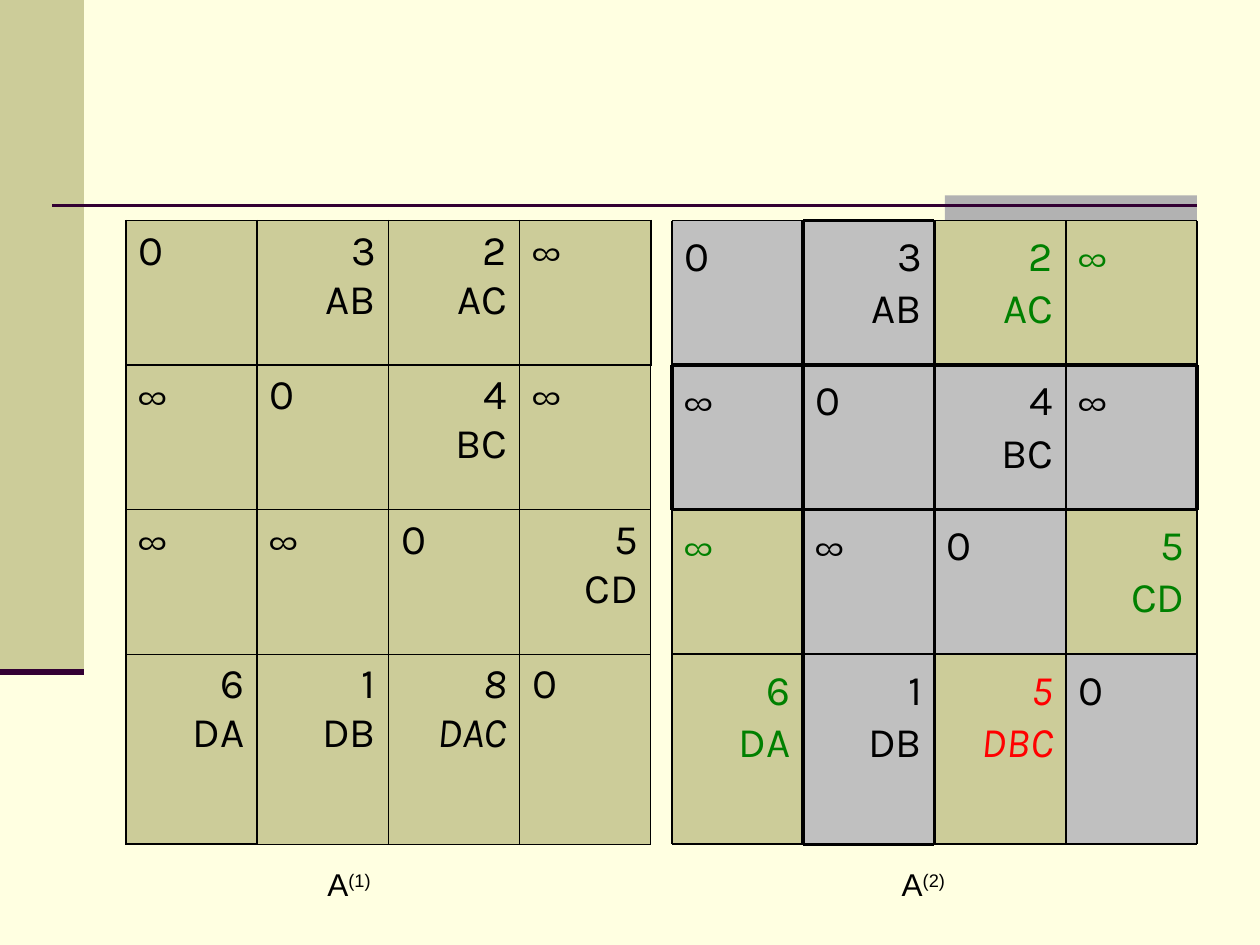
from dataclasses import dataclass
from typing import NamedTuple

from lxml import etree
from pptx import Presentation
from pptx.dml.color import RGBColor
from pptx.enum.shapes import MSO_CONNECTOR, MSO_SHAPE
from pptx.enum.text import MSO_ANCHOR, MSO_AUTO_SIZE, PP_ALIGN
from pptx.oxml.ns import qn
from pptx.util import Emu, Inches, Pt

RECT = MSO_SHAPE.RECTANGLE
LINE = MSO_CONNECTOR.STRAIGHT
TOP = MSO_ANCHOR.TOP
LEFT, RIGHT = PP_ALIGN.LEFT, PP_ALIGN.RIGHT
GROW = MSO_AUTO_SIZE.SHAPE_TO_FIT_TEXT

WIDTH, HEIGHT = Inches(10), Inches(7.5)
UNIT = WIDTH / 120  # the slide is a grid of 120 columns by 90 rows


@dataclass(frozen=True)
class Theme:
    page: str = "FFFFE1"
    sand: str = "CCCC99"
    gray: str = "C0C0C0"
    tab: str = "B2B2B2"
    plum: str = "330033"
    ink: str = "000000"
    kept: str = "008000"
    new: str = "FF0000"
    cell_font: str = "Karla"
    note_font: str = "Arial"
    cell_size: int = 24
    note_size: int = 18
    thin: float = 0.45
    edge: float = 0.96
    line: float = 1
    bold: float = 2


THEME = Theme()


class Box(NamedTuple):
    left: float
    top: float
    width: float
    height: float


class Rule(NamedTuple):
    x1: float
    y1: float
    x2: float
    y2: float
    weight: float
    color: str = THEME.ink


class Cell(NamedTuple):
    cost: str
    route: str = ""
    italic: bool = False


@dataclass(frozen=True)
class Grid:
    left: float
    top: float = 21
    col: float = 12.5
    row: float = 13.77
    last: float = 18.1

    def x(self, col: int) -> float:
        return self.left + col * self.col

    def y(self, row: int) -> float:
        return self.top + row * self.row + (self.last - self.row) * (row == 4)

    def box(self, row: int, col: int, rows: int = 1, cols: int = 1) -> Box:
        x, y = self.x(col), self.y(row)
        return Box(x, y, self.x(col + cols) - x, self.y(row + rows) - y)


FIRST, SECOND = Grid(12), Grid(64)
INF, ZERO = Cell("∞"), Cell("0")
COSTS = [
    [ZERO, Cell("3", "AB"), Cell("2", "AC"), INF],
    [INF, ZERO, Cell("4", "BC"), INF],
    [INF, INF, ZERO, Cell("5", "CD")],
    [Cell("6", "DA"), Cell("1", "DB"), Cell("8", "DAC", True), ZERO],
]
BETTER = {(3, 2): Cell("5", "DBC", True)}

# Column and row of each end on the second grid
LIGHT = [(0, 0, 1, 0), (0, 4, 1, 4), (0, 0, 0, 1), (4, 0, 4, 1), (2, 0, 4, 0),
         (3, 0, 3, 4), (0, 2, 0, 4), (4, 2, 4, 4), (0, 3, 4, 3), (2, 4, 4, 4)]
HEAVY = [(1, 0, 2, 0), (0, 1, 4, 1), (0, 1, 0, 2), (1, 0, 1, 4),
         (2, 0, 2, 4), (4, 1, 4, 2), (0, 2, 4, 2), (1, 4, 2, 4)]


def span(units: float) -> Emu:
    return Emu(round(units * UNIT))


def style(font, **values) -> None:
    for name, value in values.items():
        setattr(font, name, value)


def paint(fill, color: str) -> None:
    fill.solid()
    fill.fore_color.rgb = RGBColor.from_string(color)


def add_box(slide, box: Box, color: str):
    shape = slide.shapes.add_shape(RECT, *map(span, box))
    shape.shadow.inherit = False
    paint(shape.fill, color)
    shape.line.fill.background()
    return shape


def add_rule(slide, rule: Rule) -> None:
    line = slide.shapes.add_connector(LINE, *map(span, rule[:4]))
    line.line.width = Pt(rule.weight)
    line.line.color.rgb = RGBColor.from_string(rule.color)
    etree.SubElement(line._element.spPr, qn("a:effectLst"))


def write(frame, cell: Cell, color: str, gap: float = 0) -> None:
    """Put the cost and, right-aligned below it, the route."""
    for i, text in enumerate(filter(None, (cell.cost, cell.route))):
        para = frame.add_paragraph() if i else frame.paragraphs[0]
        para.alignment = RIGHT if cell.route else LEFT
        para.space_before = Pt(gap)
        props = para._p.get_or_add_pPr()
        for name, inch in {"marL": 0.38, "indent": -0.38}.items():
            props.set(name, str(Inches(inch)))
        run = para.add_run()
        run.text = text
        style(run.font, name=THEME.cell_font, size=Pt(THEME.cell_size),
              italic=cell.italic)
        run.font.color.rgb = RGBColor.from_string(color)


def add_edges(cell, row: int, col: int) -> None:
    """Draw heavier borders around the first row and the first column."""
    heavy = {"L": col < 2, "R": col == 0 or (row == 0 and col == 3),
             "T": row < 2, "B": row == 0 or (row == 3 and col == 0)}
    props = cell._tc.get_or_add_tcPr()
    for i, (side, strong) in enumerate(heavy.items()):
        weight = THEME.edge if strong else THEME.thin
        edge = etree.Element(qn(f"a:ln{side}"), w=str(Pt(weight)))
        fill = etree.SubElement(edge, qn("a:solidFill"))
        etree.SubElement(fill, qn("a:srgbClr"), val=THEME.ink)
        props.insert(i, edge)


def add_first(slide, grid: Grid) -> None:
    place = map(span, grid.box(0, 0, 4, 4))
    table = slide.shapes.add_table(4, 4, *place).table
    table.first_row = table.horz_banding = False
    for i in range(4):
        table.columns[i].width = span(grid.col)
        table.rows[i].height = span(grid.box(i, 0).height)
    for r, row in enumerate(COSTS):
        for c, entry in enumerate(row):
            cell = table.cell(r, c)
            paint(cell.fill, THEME.sand)
            write(cell.text_frame, entry, THEME.ink)
            add_edges(cell, r, c)


def add_second(slide, grid: Grid) -> None:
    """Shade the row and column of the second node and the diagonal."""
    for r, row in enumerate(COSTS):
        for c, entry in enumerate(row):
            fixed = r == 1 or c == 1 or r == c
            color = THEME.ink if fixed else THEME.kept
            if (r, c) in BETTER:
                entry, color = BETTER[r, c], THEME.new
            shape = add_box(slide, grid.box(r, c),
                            THEME.gray if fixed else THEME.sand)
            style(shape.text_frame, word_wrap=True, vertical_anchor=TOP,
                  margin_top=Inches(0.07))
            write(shape.text_frame, entry, color, gap=1)
    for ends, weight in ((LIGHT, THEME.line), (HEAVY, THEME.bold)):
        for x1, y1, x2, y2 in ends:
            add_rule(slide, Rule(grid.x(x1), grid.y(y1),
                                 grid.x(x2), grid.y(y2), weight))


def add_note(slide, left: float, power: str) -> None:
    frame = add_box(slide, Box(left, 81.84, 6.5, 4.8), THEME.page).text_frame
    style(frame, word_wrap=False, auto_size=GROW, vertical_anchor=TOP)
    para = frame.paragraphs[0]
    para.alignment = LEFT
    for text, lift in (("A", 0), (power, 30000)):
        run = para.add_run()
        run.text = text
        style(run.font, name=THEME.note_font, size=Pt(THEME.note_size))
        run.font.color.rgb = RGBColor.from_string(THEME.ink)
        if lift:
            run._r.get_or_add_rPr().set("baseline", str(lift))


def main() -> None:
    deck = Presentation()
    deck.slide_width, deck.slide_height = WIDTH, HEIGHT
    slide = deck.slides.add_slide(deck.slide_layouts[6])
    paint(slide.background.fill, THEME.page)
    add_box(slide, Box(0, 0, 8, 64), THEME.sand)
    add_box(slide, Box(90, 18.6, 24, 2.4), THEME.tab)
    add_rule(slide, Rule(5, 19.6, 114, 19.6, 1.5, THEME.plum))
    add_rule(slide, Rule(0, 64, 8, 64, 3.5, THEME.plum))
    add_first(slide, FIRST)
    add_second(slide, SECOND)
    add_note(slide, 30, "(1)")
    add_note(slide, 84.7, "(2)")
    deck.save("out.pptx")


if __name__ == "__main__":
    main()
